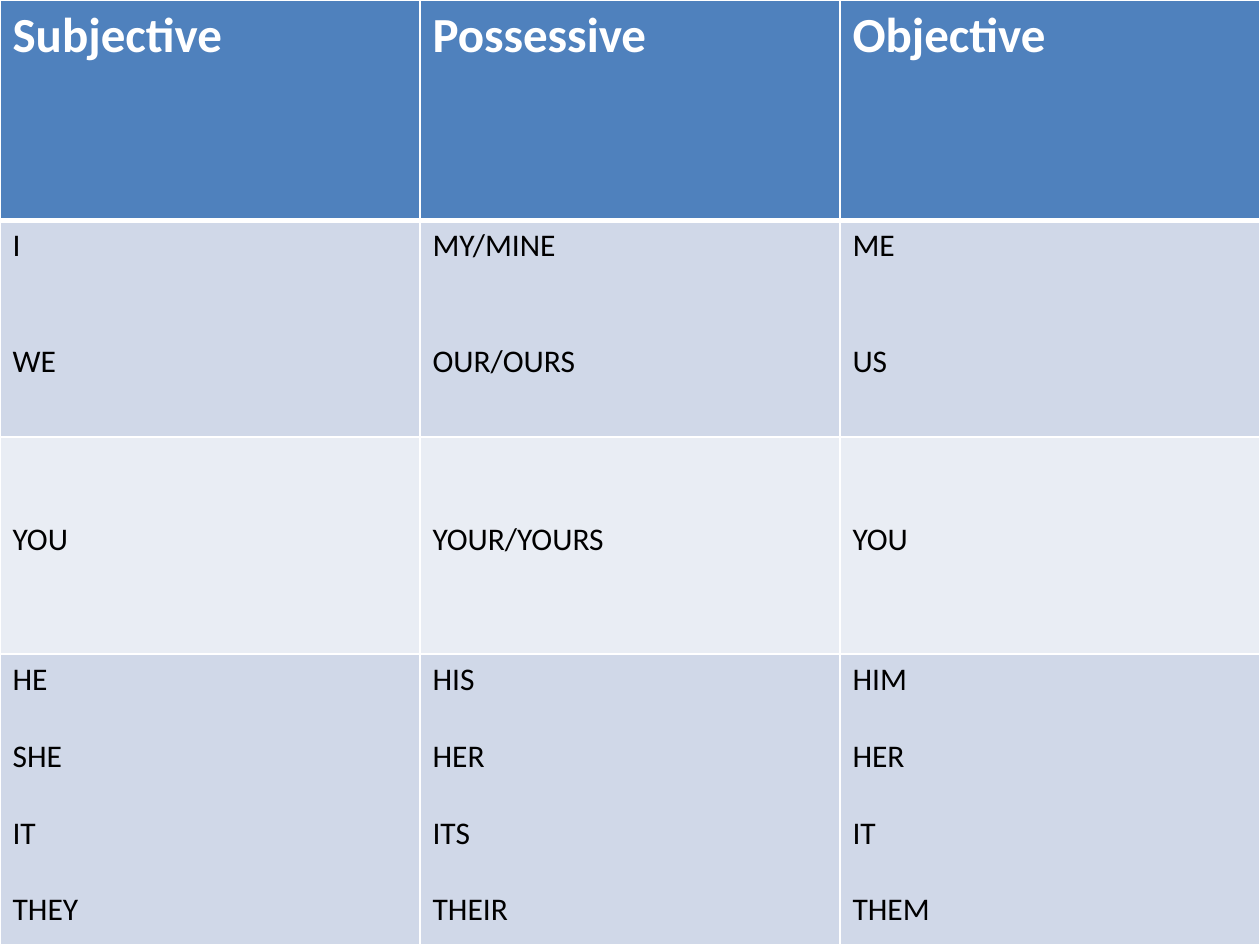
from pptx import Presentation
from pptx.dml.color import RGBColor
from pptx.oxml.ns import qn
from pptx.util import Inches, Pt
from lxml import etree

WIDTH, HEIGHT = 10, 7.5
FONT = "Calibri"
WHITE, BLACK = "FFFFFF", "000000"
HEADER_FILL, DARK_BAND, LIGHT_BAND = "4F81BD", "D0D8E8", "E9EDF4"
LINE = 22  # height in points of one 18 pt line
MARGIN = 0.05

HEADINGS = ["Subjective", "Possessive", "Objective"]
# Row height, space above the text and between words (in lines), words by column
PRONOUN_ROWS = [
    (1.72, 0, 2, [["I", "WE"], ["MY/MINE", "OUR/OURS"], ["ME", "US"]]),
    (1.72, 2, 0, [["YOU"], ["YOUR/YOURS"], ["YOU"]]),
    (2.31, 0, 1, [["HE", "SHE", "IT", "THEY"],
                  ["HIS", "HER", "ITS", "THEIR"],
                  ["HIM", "HER", "IT", "THEM"]]),
]
HEADER_HEIGHT = HEIGHT - sum(row[0] for row in PRONOUN_ROWS)


def color(hex_text):
    return RGBColor.from_string(hex_text)


def write_words(cell, words, size=18, ink=BLACK, bold=False, gap=0):
    """Put each word in its own paragraph, with gap points between them."""
    frame = cell.text_frame
    for index, word in enumerate(words):
        para = frame.add_paragraph() if index else frame.paragraphs[0]
        para.space_before = Pt(gap if index else 0)
        span = para.add_run()
        span.text = word
        span.font.name = FONT
        span.font.size = Pt(size)
        span.font.bold = bold
        span.font.color.rgb = color(ink)


def set_borders(cell, **widths):
    """Draw white borders; keys L, R, T, B give widths in points."""
    properties = cell._tc.get_or_add_tcPr()
    for position, side in enumerate("LRTB"):
        line = etree.Element(qn(f"a:ln{side}"), w=str(Pt(widths.get(side, 1))))
        fill = etree.SubElement(line, qn("a:solidFill"))
        etree.SubElement(fill, qn("a:srgbClr"), val=WHITE)
        properties.insert(position, line)


def paint_cell(cell, fill, **borders):
    cell.fill.solid()
    cell.fill.fore_color.rgb = color(fill)
    set_borders(cell, **borders)


def add_pronoun_table(page):
    table = page.shapes.add_table(
        len(PRONOUN_ROWS) + 1, len(HEADINGS), 0, 0, Inches(WIDTH), Inches(HEIGHT)
    ).table
    for column in table.columns:
        column.width = Inches(WIDTH / len(HEADINGS))

    table.rows[0].height = Inches(HEADER_HEIGHT)
    for column, heading in enumerate(HEADINGS):
        cell = table.cell(0, column)
        paint_cell(cell, HEADER_FILL, B=3)
        write_words(cell, [heading], size=28, ink=WHITE, bold=True)

    for row, (height, lead, gap, columns) in enumerate(PRONOUN_ROWS, start=1):
        table.rows[row].height = Inches(height)
        for column, words in enumerate(columns):
            cell = table.cell(row, column)
            paint_cell(cell, DARK_BAND if row % 2 else LIGHT_BAND,
                       T=3 if row == 1 else 1)
            cell.margin_top = Inches(MARGIN) + Pt(lead * LINE)
            write_words(cell, words, gap=gap * LINE)


def main():
    deck = Presentation()
    deck.slide_width, deck.slide_height = Inches(WIDTH), Inches(HEIGHT)
    page = deck.slides.add_slide(deck.slide_layouts[6])
    add_pronoun_table(page)
    deck.save("out.pptx")


if __name__ == "__main__":
    main()
